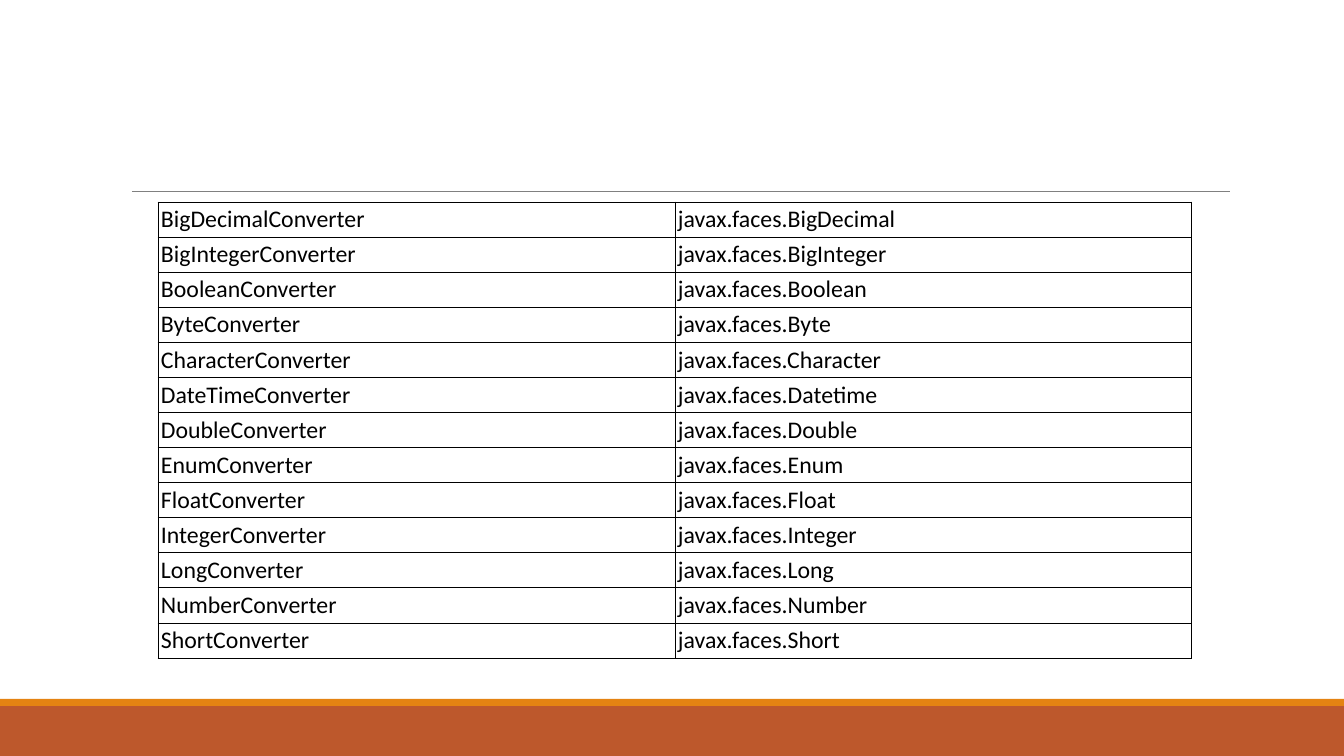
import pptx
import pptx.dml.color
import pptx.enum.shapes
import pptx.enum.text
import pptx.oxml.ns
import pptx.util
from dataclasses import dataclass
from lxml import etree

# Content: converter class, converter id
CONVERTERS = [
    ("BigDecimalConverter", "javax.faces.BigDecimal"),
    ("BigIntegerConverter", "javax.faces.BigInteger"),
    ("BooleanConverter", "javax.faces.Boolean"),
    ("ByteConverter", "javax.faces.Byte"),
    ("CharacterConverter", "javax.faces.Character"),
    ("DateTimeConverter", "javax.faces.Datetime"),
    ("DoubleConverter", "javax.faces.Double"),
    ("EnumConverter", "javax.faces.Enum"),
    ("FloatConverter", "javax.faces.Float"),
    ("IntegerConverter", "javax.faces.Integer"),
    ("LongConverter", "javax.faces.Long"),
    ("NumberConverter", "javax.faces.Number"),
    ("ShortConverter", "javax.faces.Short"),
]


@dataclass(frozen=True)
class Theme:
    font: str = "Calibri"
    text_size: int = 17
    text: str = "000000"
    cell: str = "FFFFFF"
    border: str = "000000"
    border_width: float = 0.75
    rule: str = "808080"
    rule_width: float = 0.5
    footer: str = "BD582C"
    footer_edge: str = "E48312"


THEME = Theme()

# Layout in px
SLIDE_W, SLIDE_H = 1344, 756
FOOTER_H, FOOTER_EDGE_H = 50, 7
RULE_LEFT, RULE_RIGHT, RULE_Y = 132, 1230, 191
TABLE_LEFT, TABLE_TOP = 158, 202
COLUMN_W, ROW_H, CELL_MARGIN = 517, 35, 3


def px(length):
    return pptx.util.Emu(round(length * 914400 / 100.8))


def rgb(value):
    return pptx.dml.color.RGBColor.from_string(value)


def add_band(slide, top, height, color):
    band = slide.shapes.add_shape(
        pptx.enum.shapes.MSO_SHAPE.RECTANGLE, 0, px(top), px(SLIDE_W), px(height))
    band.shadow.inherit = False
    band.fill.solid()
    band.fill.fore_color.rgb = rgb(color)
    band.line.fill.background()


def add_rule(slide):
    rule = slide.shapes.add_connector(
        pptx.enum.shapes.MSO_CONNECTOR.STRAIGHT,
        px(RULE_LEFT), px(RULE_Y), px(RULE_RIGHT), px(RULE_Y))
    rule.line.color.rgb = rgb(THEME.rule)
    rule.line.width = pptx.util.Pt(THEME.rule_width)
    etree.SubElement(rule._element.spPr, pptx.oxml.ns.qn("a:effectLst"))


def add_borders(cell):
    properties = cell._tc.get_or_add_tcPr()
    width = pptx.util.Pt(THEME.border_width)
    for side in ("lnL", "lnR", "lnT", "lnB"):
        border = etree.SubElement(
            properties, pptx.oxml.ns.qn(f"a:{side}"), w=str(int(width)))
        fill = etree.SubElement(border, pptx.oxml.ns.qn("a:solidFill"))
        etree.SubElement(fill, pptx.oxml.ns.qn("a:srgbClr"), val=THEME.border)


def fill_cell(cell, wording):
    add_borders(cell)
    cell.fill.solid()
    cell.fill.fore_color.rgb = rgb(THEME.cell)
    cell.margin_left = cell.margin_right = px(CELL_MARGIN)
    cell.margin_top = cell.margin_bottom = px(CELL_MARGIN)
    cell.vertical_anchor = pptx.enum.text.MSO_ANCHOR.MIDDLE
    cell.text = wording
    font = cell.text_frame.paragraphs[0].font
    font.name = THEME.font
    font.size = pptx.util.Pt(THEME.text_size)
    font.bold = False
    font.color.rgb = rgb(THEME.text)


def add_converters(slide):
    row_count, column_count = len(CONVERTERS), len(CONVERTERS[0])
    converters = slide.shapes.add_table(
        row_count, column_count, px(TABLE_LEFT), px(TABLE_TOP),
        px(COLUMN_W * column_count), px(ROW_H * row_count)).table
    converters.first_row = False
    converters.horz_banding = False
    for column in converters.columns:
        column.width = px(COLUMN_W)
    for row, wordings in zip(converters.rows, CONVERTERS):
        row.height = px(ROW_H)
        for cell, wording in zip(row.cells, wordings):
            fill_cell(cell, wording)


def main():
    deck = pptx.Presentation()
    deck.slide_width, deck.slide_height = px(SLIDE_W), px(SLIDE_H)
    slide = deck.slides.add_slide(deck.slide_layouts[6])

    # Footer bands
    footer_top = SLIDE_H - FOOTER_H
    add_band(slide, footer_top, FOOTER_H, THEME.footer)
    add_band(slide, footer_top - FOOTER_EDGE_H, FOOTER_EDGE_H, THEME.footer_edge)

    # Title rule and converter table
    add_rule(slide)
    add_converters(slide)
    deck.save("out.pptx")


if __name__ == "__main__":
    main()
